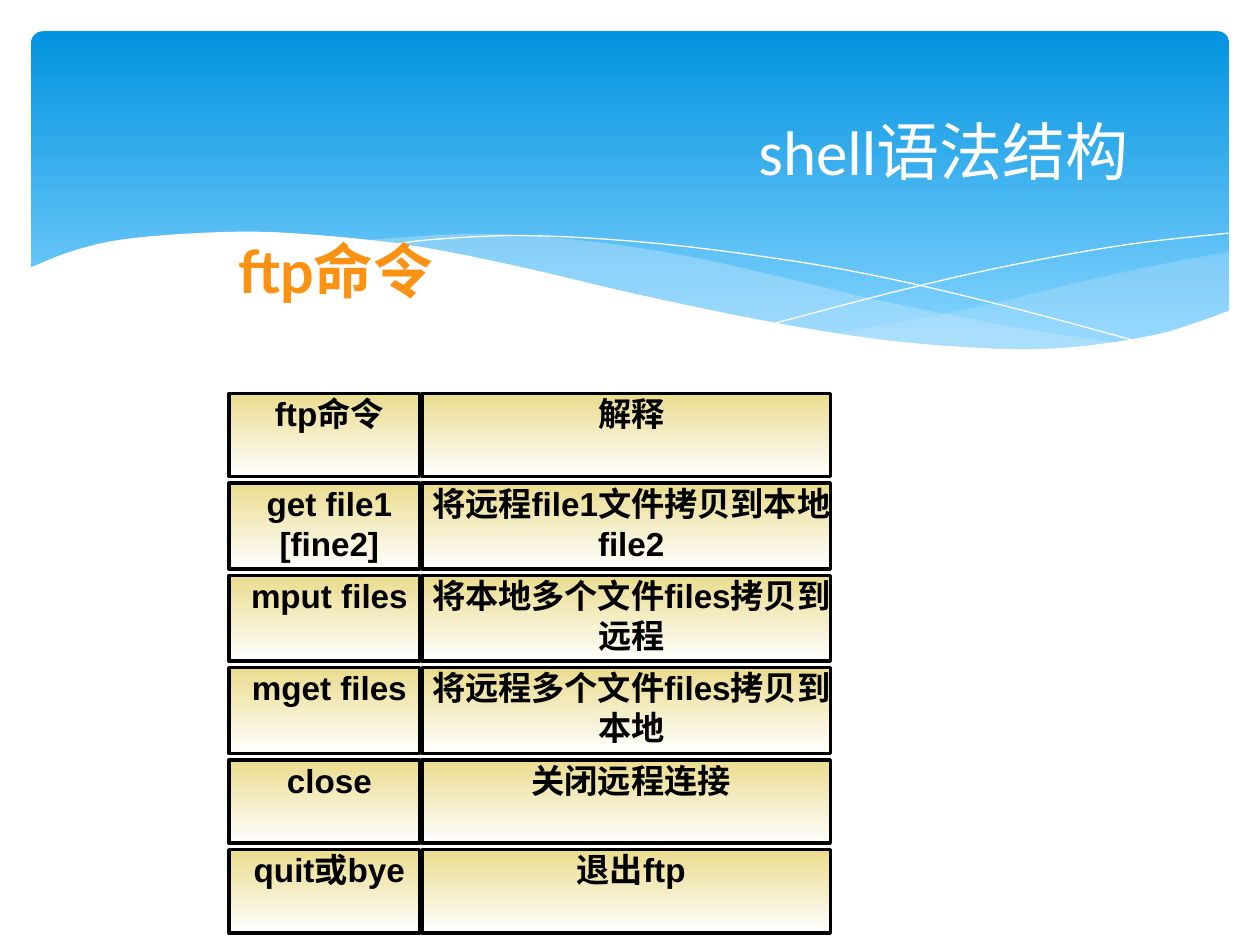
from lxml.etree import SubElement
from pptx import Presentation
from pptx.dml.color import RGBColor
from pptx.enum.shapes import MSO_SHAPE
from pptx.enum.text import MSO_ANCHOR, PP_ALIGN
from pptx.oxml.ns import qn
from pptx.util import Cm, Pt

TITLE = "shell语法结构"
SUBTITLE = "ftp命令"
ROWS = [
    (1.68, "ftp命令", "解释"),
    (1.73, "get file1 [fine2]", "将远程file1文件拷贝到本地file2"),
    (1.73, "mput files", "将本地多个文件files拷贝到远程"),
    (1.73, "mget files", "将远程多个文件files拷贝到本地"),
    (1.68, "close", "关闭远程连接"),
    (1.68, "quit或bye", "退出ftp"),
]
COLUMNS = [(4.62, 3.84), (8.51, 8.23)]
GRID_TOP, ROW_GAP = 7.93, 0.13

RIGHT_VEIL = [
    [(24.79, 5.08), (23.75, 5.26), (21.87, 5.66), (19.79, 6.17), (17.93, 6.53), (16.79, 6.73)],
    [(16.79, 6.73), (17.91, 6.88), (19.23, 7.01), (20.68, 7.06), (22.15, 6.96), (23.39, 6.73),
     (24.79, 6.27)],
]
BROAD_VEIL = [
    [(22.68, 6.93), (20.5, 6.6), (17.93, 6.1), (15.98, 5.64), (14.1, 5.21), (12.42, 4.93),
     (10.67, 4.75), (9.17, 4.72), (7.26, 4.85)],
    [(7.26, 4.85), (9.19, 5.16), (11.4, 5.64), (13.46, 6.1), (15.7, 6.55), (17.65, 6.86),
     (19.33, 7.04), (20.78, 7.09), (22.68, 6.93)],
]
FALLING_LINE = [
    [(7.85, 4.95), (8.71, 4.83), (10.57, 4.75), (12.95, 4.88), (15.44, 5.18), (17.65, 5.56),
     (20.19, 6.15), (23.04, 6.91)],
]
RISING_LINE = [[(15.57, 6.53), (18.29, 5.82), (20.47, 5.33), (22.73, 4.93), (24.77, 4.7)]]
WHITE_WAVE = [
    [(0.58, 5.41), (1.5, 5.05), (2.69, 4.8), (4.9, 4.67), (6.88, 4.78), (8.61, 5), (10.62, 5.41),
     (12.78, 5.92), (15.32, 6.45), (17.48, 6.81), (19.33, 6.99), (20.9, 7.04), (22.23, 6.93),
     (23.37, 6.73), (24.13, 6.5), (24.82, 6.25)],
    [(24.82, 8.36), (0.58, 8.36)],
]


def color(value):
    return RGBColor.from_string(value)


def smooth(points, steps=6):
    if len(points) < 3:
        return points
    padded = [points[0], *points, points[-1]]
    curve = [points[0]]
    for a, b, c, d in zip(padded, padded[1:], padded[2:], padded[3:]):
        for step in range(1, steps + 1):
            t = step / steps
            curve.append(tuple(
                q + t * (r - p) / 2 + t ** 2 * (2 * p - 5 * q + 4 * r - s) / 2
                + t ** 3 * (3 * q - p - 3 * r + s) / 2
                for p, q, r, s in zip(a, b, c, d)))
    return curve


def add_wave(page, edges, fill=None, alpha=100, line=None):
    points = [(Cm(x), Cm(y)) for edge in edges for x, y in smooth(edge)]
    builder = page.shapes.build_freeform(*points[0])
    builder.add_line_segments(points[1:], close=fill is not None)
    wave = builder.convert_to_shape()
    wave.shadow.inherit = False
    if fill:
        wave.fill.solid()
        wave.fill.fore_color.rgb = color(fill)
        tone = wave.element.spPr.find(qn("a:solidFill"))[0]
        SubElement(tone, qn("a:alpha"), val=str(alpha * 1000))
    else:
        wave.fill.background()
    if line:
        wave.line.color.rgb = color(line)
        wave.line.width = Pt(0)
    else:
        wave.line.fill.background()


def add_gradient_box(page, kind, place, start, end, end_position=1):
    box = page.shapes.add_shape(kind, *map(Cm, place))
    box.shadow.inherit = False
    box.fill.gradient()
    box.fill.gradient_angle = 270
    first, last = box.fill.gradient_stops
    first.color.rgb, first.position = color(start), 0
    last.color.rgb, last.position = color(end), end_position
    box.line.fill.background()
    return box


def write(box, text, *, font, size, fill, bold=False, align=PP_ALIGN.LEFT,
          anchor=MSO_ANCHOR.TOP, margins=(0, 0, 0, 0)):
    frame = box.text_frame
    frame.word_wrap = True
    frame.vertical_anchor = anchor
    (frame.margin_left, frame.margin_top,
     frame.margin_right, frame.margin_bottom) = map(Cm, margins)
    para = frame.paragraphs[0]
    para.alignment = align
    span = para.add_run()
    span.text = text
    span.font.name = font
    span.font.size = Pt(size)
    span.font.bold = bold
    span.font.color.rgb = color(fill)


def main():
    deck = Presentation()
    deck.slide_width, deck.slide_height = Cm(25.4), Cm(19.05)
    page = deck.slides.add_slide(deck.slide_layouts[5])

    panel = add_gradient_box(page, MSO_SHAPE.ROUNDED_RECTANGLE, (0.63, 0.63, 24.15, 6.86),
                             "0293E0", "83D3FE", end_position=0.9)
    panel.adjustments[0] = 0.034
    add_wave(page, RIGHT_VEIL, fill="C6E7FC", alpha=29)
    add_wave(page, BROAD_VEIL, fill="C6E7FC", alpha=40)
    add_wave(page, FALLING_LINE, line="FFFFFF")
    add_wave(page, RISING_LINE, line="FFFFFF")
    add_wave(page, WHITE_WAVE, fill="FFFFFF")

    title = page.shapes.title
    title.element.getparent().append(title.element)
    title.left, title.top, title.width, title.height = map(Cm, (13.8, 2.13, 10.44, 1.8))
    write(title, TITLE, font="Calibri", size=36, fill="FFFFFF", align=PP_ALIGN.CENTER,
          anchor=MSO_ANCHOR.MIDDLE)

    subtitle = page.shapes.add_textbox(Cm(4.5), Cm(4.72), Cm(9.6), Cm(1.45))
    write(subtitle, SUBTITLE, font="Lato", size=34, fill="FB9214", bold=True,
          margins=(0.3, 0, 0, 0))

    top = GRID_TOP
    for height, *texts in ROWS:
        for (left, width), text in zip(COLUMNS, texts):
            cell = add_gradient_box(page, MSO_SHAPE.RECTANGLE, (left, top, width, height),
                                    "EADC8E", "FFFFFF")
            cell.line.color.rgb = color("000000")
            cell.line.width = Pt(2)
            write(cell, text, font="Arial", size=19, fill="000000", bold=True,
                  align=PP_ALIGN.CENTER, margins=(0.2, 0, 0, 0))
        top += height + ROW_GAP

    deck.save("out.pptx")


if __name__ == "__main__":
    main()
